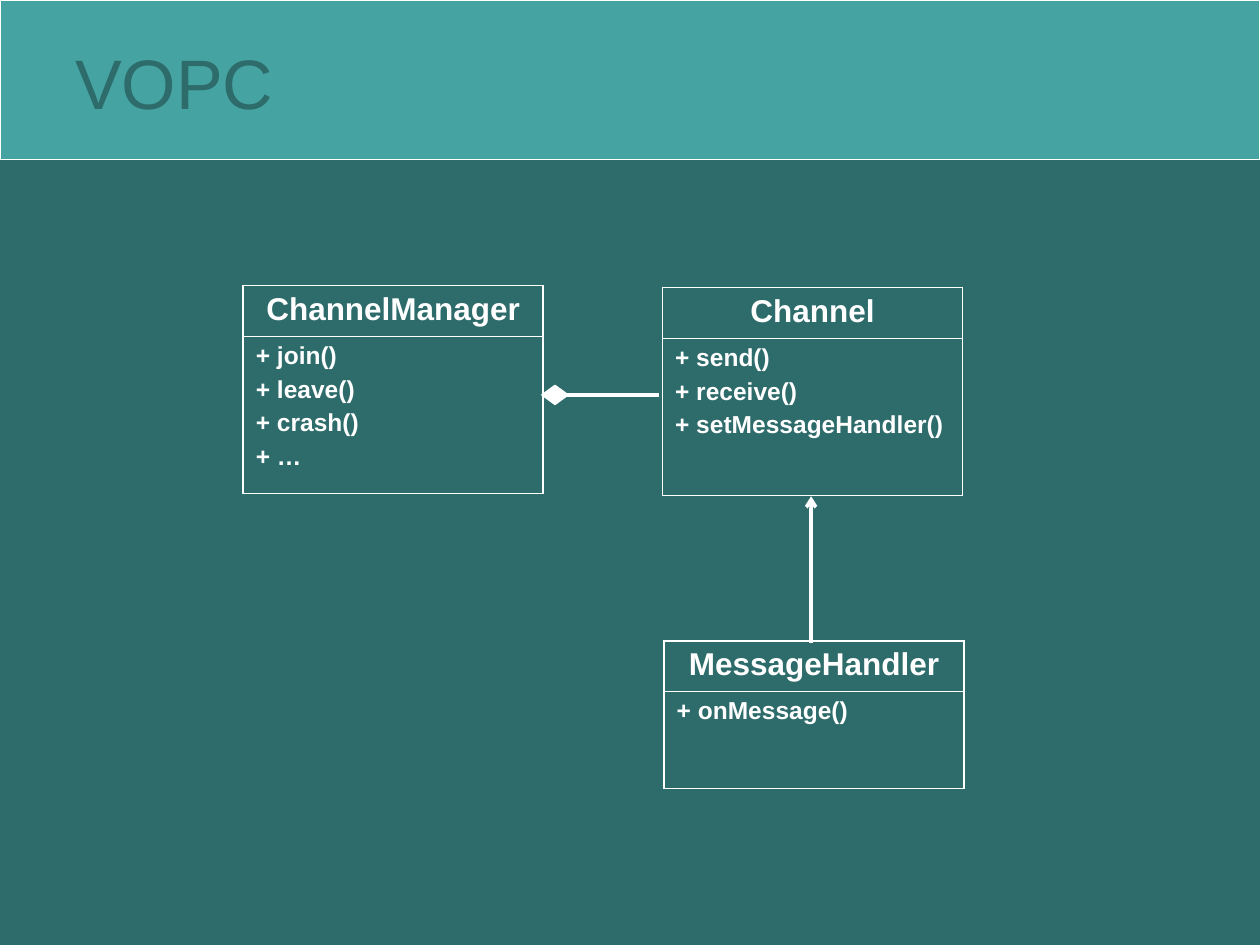
from lxml import etree
from pptx import Presentation, util as u
from pptx.dml.color import RGBColor
from pptx.enum import shapes, text
from pptx.oxml.ns import qn

Pt = u.Pt
DARK_TEAL = RGBColor(0x2E, 0x6B, 0x6B)
TEAL = RGBColor(0x45, 0xA3, 0xA1)
WHITE = RGBColor(0xFF, 0xFF, 0xFF)
FONT = "Arial"
OUTER, INNER = 1.08, 0.45  # border widths

# Content: class name, left, top, height of the method row, methods
TITLE = "VOPC"
CLASSES = [
    ("ChannelManager", 139, 163.2, 90,
     ["+ join()", "+ leave()", "+ crash()", "+ …"]),
    ("MessageHandler", 379.5, 366.2, 55.5, ["+ onMessage()"]),
    ("Channel", 378.6, 164.3, 90,
     ["+ send()", "+ receive()", "+ setMessageHandler()"]),
]
CLASS_WIDTH, NAME_HEIGHT = 171.4, 28.8


def style_shape(shape, fill):
    shape.shadow.inherit = False
    shape.fill.solid()
    shape.fill.fore_color.rgb = fill
    shape.line.color.rgb = WHITE
    shape.line.width = Pt(0.75)


def style_text(para, size, color, bold=False):
    font = para.font
    font.name, font.size, font.bold = FONT, Pt(size), bold
    font.color.rgb = color


def fill_cell(cell, lines, size, align, top, bottom):
    cell.text_frame.text = "\n".join(lines)
    for index, para in enumerate(cell.text_frame.paragraphs):
        para.alignment = align
        if index:
            para.space_before = Pt(3.5)
        style_text(para, size, WHITE, bold=True)
    # Borders come before the fill in the cell properties
    props = cell._tc.get_or_add_tcPr()
    for side, width in zip("LRTB", (OUTER, OUTER, top, bottom)):
        border = etree.SubElement(props, qn(f"a:ln{side}"), w=str(Pt(width)))
        solid = etree.SubElement(border, qn("a:solidFill"))
        etree.SubElement(solid, qn("a:srgbClr"), val=str(WHITE))
    cell.fill.background()


def add_class(page, name, left, top, body_height, methods):
    table = page.shapes.add_table(
        2, 1, Pt(left), Pt(top), Pt(CLASS_WIDTH),
        Pt(NAME_HEIGHT + body_height)).table
    table.first_row = table.horz_banding = False
    table.rows[0].height = Pt(NAME_HEIGHT)
    table.rows[1].height = Pt(body_height)
    fill_cell(table.cell(0, 0), [name], 18, text.PP_ALIGN.CENTER, OUTER, INNER)
    fill_cell(table.cell(1, 0), methods, 14, text.PP_ALIGN.LEFT, INNER, OUTER)


def add_line(page, start, end, arrow=False):
    line = page.shapes.add_connector(
        shapes.MSO_CONNECTOR.STRAIGHT, *map(Pt, start + end))
    line.line.color.rgb = WHITE
    line.line.width = Pt(2)
    if arrow:
        etree.SubElement(line.line._get_or_add_ln(), qn("a:tailEnd"), type="arrow")
    etree.SubElement(line._element.spPr, qn("a:effectLst"))


def main():
    deck = Presentation()
    deck.slide_width, deck.slide_height = Pt(720), Pt(540)
    page = deck.slides.add_slide(deck.slide_layouts[6])
    page.background.fill.solid()
    page.background.fill.fore_color.rgb = DARK_TEAL

    # Title band
    band = page.shapes.add_shape(
        shapes.MSO_SHAPE.RECTANGLE, 0, 0, Pt(720), Pt(91.4))
    style_shape(band, TEAL)
    box = page.shapes.add_textbox(Pt(36), Pt(15.1), Pt(638.6), Pt(62.6))
    frame = box.text_frame
    frame.word_wrap = True
    frame.vertical_anchor = text.MSO_ANCHOR.MIDDLE
    frame.text = TITLE
    style_text(frame.paragraphs[0], 40, DARK_TEAL)

    # Classes
    for item in CLASSES:
        add_class(page, *item)

    # Composition: manager owns channels
    add_line(page, (320.4, 225.8), (376.6, 225.8))
    diamond = page.shapes.add_shape(
        shapes.MSO_SHAPE.DIAMOND, Pt(309.6), Pt(220.2), Pt(15.1), Pt(11))
    style_shape(diamond, WHITE)

    # Association: handler to channel
    add_line(page, (463.5, 367.2), (463.5, 283.6), arrow=True)

    deck.save("out.pptx")


if __name__ == "__main__":
    main()
